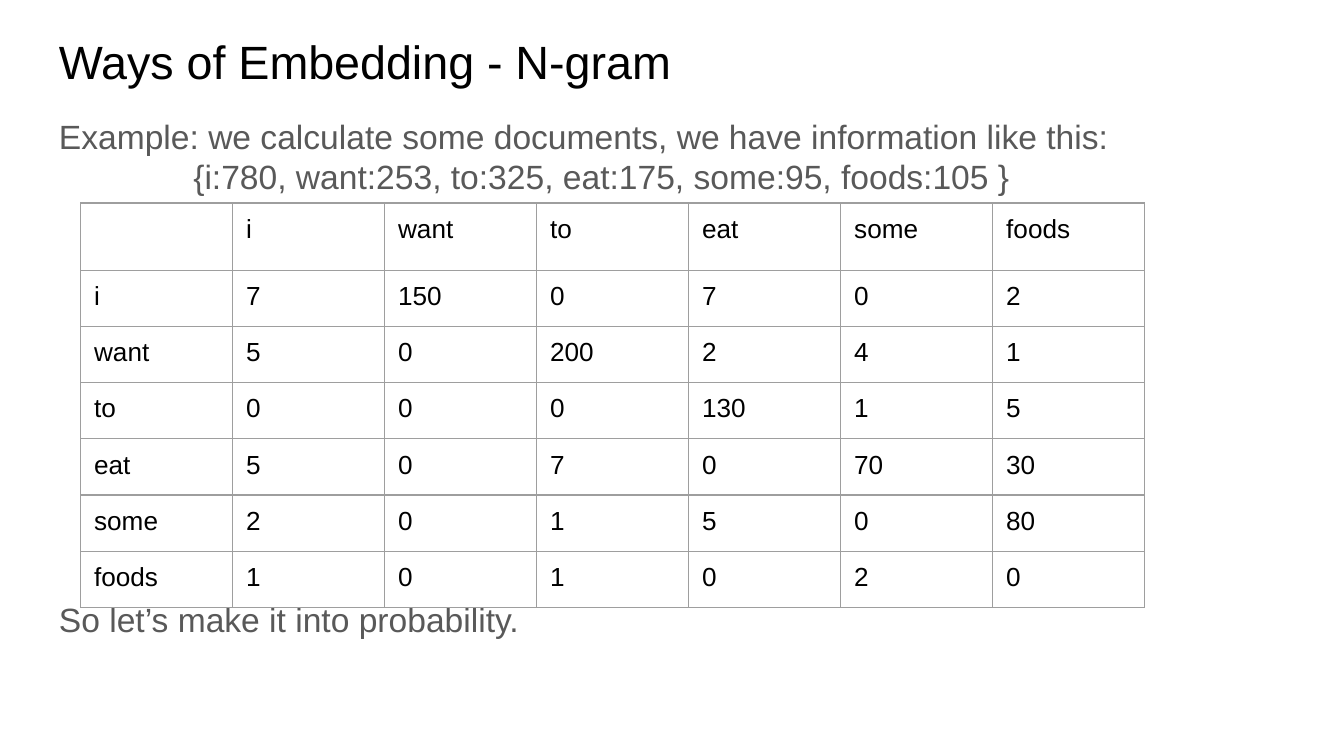
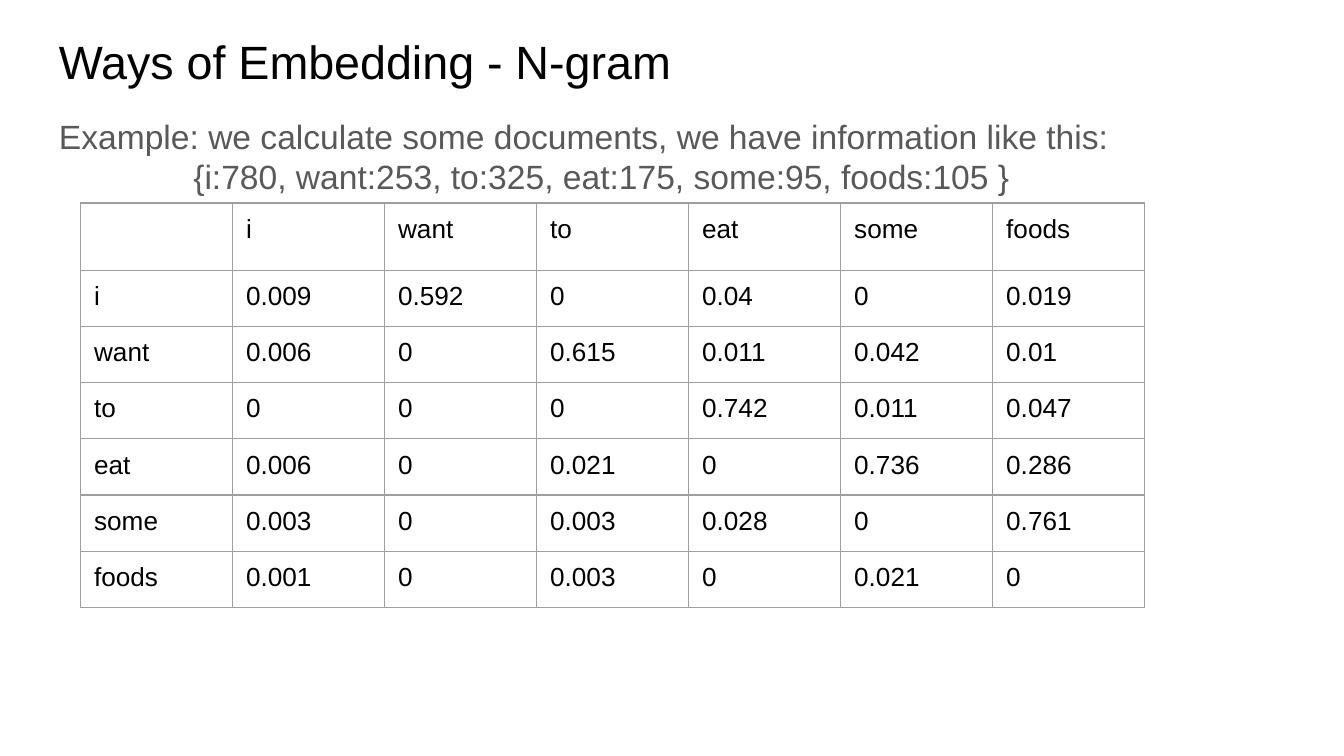
from dataclasses import dataclass
from pptx import Presentation
from pptx.dml.color import RGBColor as RGB
from pptx.enum.text import MSO_ANCHOR as Anchor
from pptx.oxml.ns import qn
from pptx.util import Inches, Pt
from lxml.etree import SubElement as Sub


@dataclass(frozen=True)
class Theme:
    font: str = "Arial"
    ink: str = "000000"
    gray: str = "595959"
    rule: str = "9E9E9E"
    paper: str = "FFFFFF"
    head: int = 25
    body: int = 18
    cell: int = 14
    line: float = 0.75
    pad: float = 0.1
    lead: float = 0.93


T = Theme()
TITLE = "Ways of Embedding - N-gram"
LEAD = "Example: we calculate some documents, we have information like this:"
TOTALS = "{i:780, want:253, to:325, eat:175, some:95, foods:105 }"
CLOSE = "So let’s make it into probability."
WORDS = ["i", "want", "to", "eat", "some", "foods"]

COUNTS = [
    [7, 150, 0, 7, 0, 2],
    [5, 0, 200, 2, 4, 1],
    [0, 0, 0, 130, 1, 5],
    [5, 0, 7, 0, 70, 30],
    [2, 0, 1, 5, 0, 80],
    [1, 0, 1, 0, 2, 0],
]
ODDS = [
    [0.009, 0.592, 0, 0.04, 0, 0.019],
    [0.006, 0, 0.615, 0.011, 0.042, 0.01],
    [0, 0, 0, 0.742, 0.011, 0.047],
    [0.006, 0, 0.021, 0, 0.736, 0.286],
    [0.003, 0, 0.003, 0.028, 0, 0.761],
    [0.001, 0, 0.003, 0, 0.021, 0],
]

WIDE = 10
HIGH = WIDE * 9 / 16
HEAD_BOX = (0.34, 0.11, 9.32, 0.65)
BODY_BOX = (0.34, 0.76, 9.32, 4.8)
GRID_BOX = (0.6, 1.51, 7.92, 2.99)
TOP_ROW = 0.48


def inset(part):
    part.margin_left = part.margin_right = Inches(T.pad)
    part.margin_top = part.margin_bottom = Inches(T.pad)


def write(para, text, size, color):
    run = para.add_run()
    run.text = text
    run.font.name = T.font
    run.font.size = Pt(size)
    run.font.color.rgb = RGB.from_string(color)


def frame(slide, box, anchor):
    text = slide.shapes.add_textbox(*map(Inches, box)).text_frame
    text.word_wrap = True
    text.vertical_anchor = anchor
    inset(text)
    return text


def add_head(slide, box):
    text = frame(slide, box, Anchor.BOTTOM)
    write(text.paragraphs[0], TITLE, T.head, T.ink)


def add_body(slide, box, close):
    text = frame(slide, box, Anchor.TOP)
    write(text.paragraphs[0], LEAD, T.body, T.gray)
    para = text.add_paragraph()
    para._p.get_or_add_pPr().set("marL", str(Inches(1)))
    write(para, TOTALS, T.body, T.gray)
    if close:
        para = text.add_paragraph()
        para.space_before = Pt(216)
        write(para, close, T.body, T.gray)


def edge(cell):
    props = cell._tc.get_or_add_tcPr()
    for side in ("a:lnL", "a:lnR", "a:lnT", "a:lnB"):
        line = Sub(props, qn(side), w=str(Pt(T.line)))
        fill = Sub(line, qn("a:solidFill"))
        Sub(fill, qn("a:srgbClr"), val=T.rule)


def add_grid(slide, box, data):
    rows = [["", *WORDS]] + [[w, *vals] for w, vals in zip(WORDS, data)]
    count = len(rows)
    table = slide.shapes.add_table(count, count, *map(Inches, box)).table
    table.first_row = table.horz_banding = False
    for col in table.columns:
        col.width = Inches(box[2] / count)
    for row in table.rows:
        row.height = Inches((box[3] - TOP_ROW) / (count - 1))
    table.rows[0].height = Inches(TOP_ROW)
    for r, vals in enumerate(rows):
        for c, val in enumerate(vals):
            cell = table.cell(r, c)
            inset(cell)
            edge(cell)
            cell.fill.background()
            para = cell.text_frame.paragraphs[0]
            para.line_spacing = T.lead
            if val != "":
                write(para, str(val), T.cell, T.ink)


def add_slide(deck, data, close=None):
    slide = deck.slides.add_slide(deck.slide_layouts[6])
    fill = slide.background.fill
    fill.solid()
    fill.fore_color.rgb = RGB.from_string(T.paper)
    add_head(slide, HEAD_BOX)
    add_body(slide, BODY_BOX, close)
    add_grid(slide, GRID_BOX, data)


def main():
    deck = Presentation()
    deck.slide_width, deck.slide_height = Inches(WIDE), Inches(HIGH)
    add_slide(deck, COUNTS, CLOSE)
    add_slide(deck, ODDS)
    deck.save("out.pptx")


if __name__ == "__main__":
    main()
